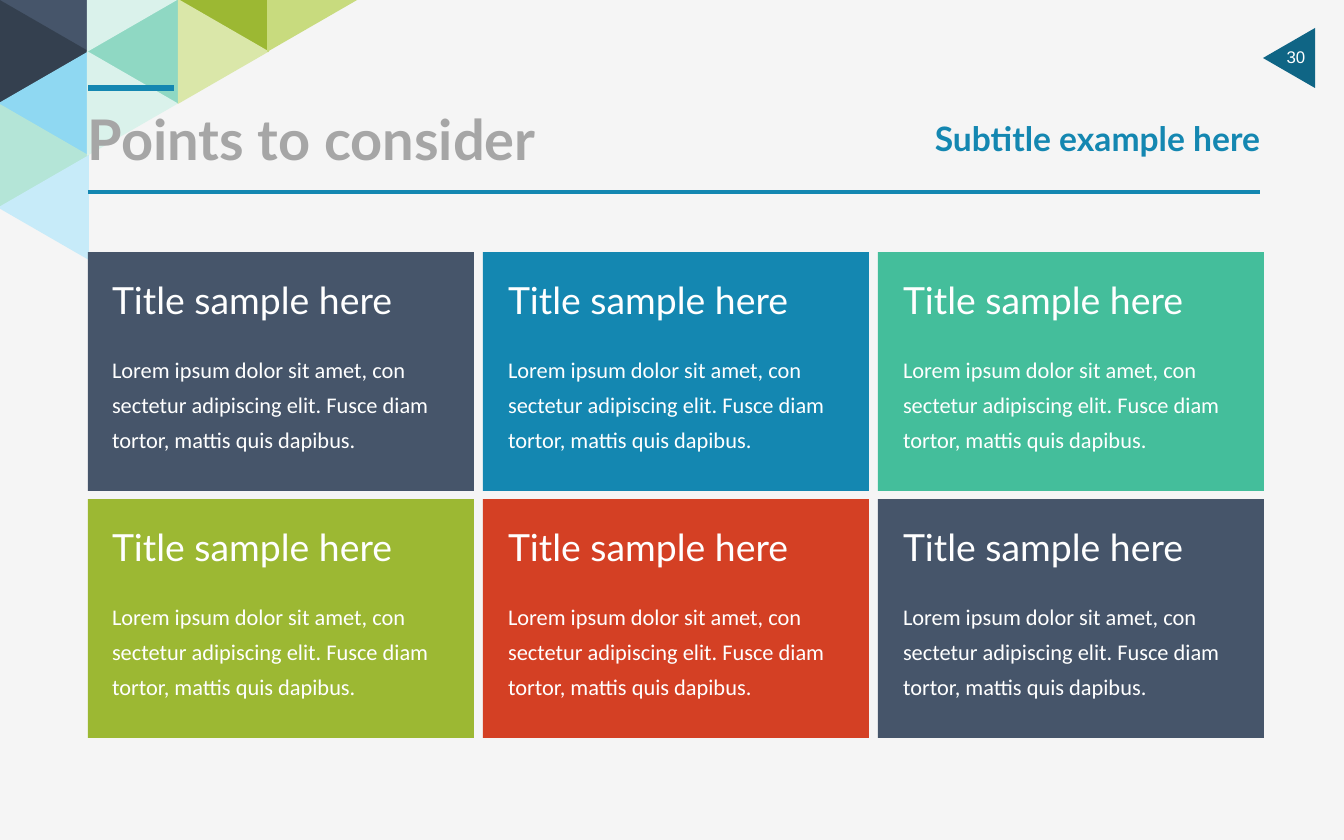
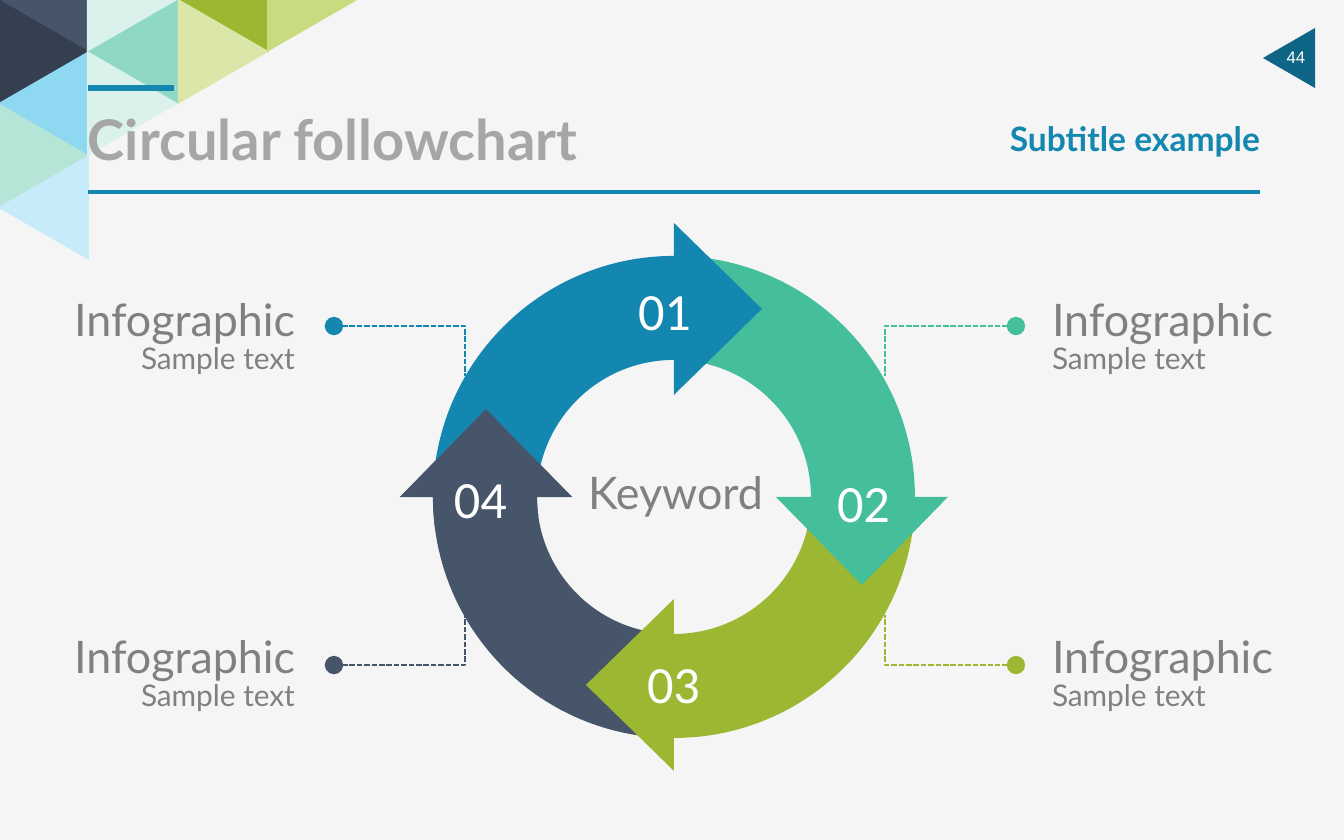
from dataclasses import dataclass
from math import cos, radians, sin, tan

from lxml.etree import SubElement
from pptx import Presentation
from pptx.dml.color import RGBColor
from pptx.enum.dml import MSO_LINE
from pptx.enum.shapes import MSO_CONNECTOR, MSO_SHAPE
from pptx.enum.text import MSO_ANCHOR, PP_ALIGN
from pptx.oxml.ns import qn
from pptx.util import Pt

SCALE = 914400 / 134.4


@dataclass(frozen=True)
class Theme:
    paper: str = "F5F5F5"
    white: str = "FFFFFF"
    slate: str = "46556A"
    blue: str = "1487B1"
    green: str = "44BE9B"
    lime: str = "9CB833"
    red: str = "D44024"
    deep: str = "0F6585"
    pale: str = "A6A6A6"
    gray: str = "808080"
    head: str = "Lato"
    body: str = "Calibri"
    page: str = "Arial"


T = Theme()

# Type styles: size, font, colour, bold, line spacing
STYLES = {
    "title": (30, T.head, T.pale, True, 1.0),
    "sub": (18, T.head, T.blue, True, 1.0),
    "page": (9, T.page, T.white, False, 1.0),
    "card": (20, T.head, T.white, False, 0.83),
    "lorem": (12, T.body, T.white, False, 1.3),
    "step": (28, T.body, T.white, False, 1.0),
    "label": (24, T.head, T.gray, False, 0.85),
    "note": (16, T.head, T.gray, False, 0.85),
}

# Content
POINTS = {"title": "Points to consider", "sub": "Subtitle example here", "page": "30"}
CYCLE = {"title": "Circular followchart", "sub": "Subtitle example", "page": "44"}
CARD = "Title sample here"
LOREM = ("Lorem ipsum dolor sit amet, con sectetur adipiscing elit. "
         "Fusce diam tortor, mattis quis dapibus.")
CARDS = [T.slate, T.blue, T.green, T.lime, T.red, T.slate]
# Left edges of the card text, by column
INDENTS = (112, 508, 903)
KEYWORD = "Keyword"
LABEL = [("Infographic", "label"), ("Sample text", "note")]
# Each step: number, colour, angle of its arrowhead, corner of its number
STEPS = [
    ("01", T.blue, -90, (625, 271)),
    ("02", T.green, 0, (824, 463)),
    ("03", T.lime, 90, (634, 644)),
    ("04", T.slate, 180, (441, 459)),
]
# Each callout: colour, on the right, on the lower half
CALLS = [
    (T.slate, False, True),
    (T.blue, False, False),
    (T.lime, True, True),
    (T.green, True, False),
]

# Corner mosaic: left edge of a column and its triangles as (row, colour)
MOSAIC = [
    (-9, [(0, T.slate), (1, "34404F"), (2, "8FD8F2"), (3, "B4E5D7"), (4, "C7EBF9")]),
    (80, [(1, "8FD8C3"), (0, "DAF2EB"), (2, "DAF2EB")]),
    (171, [(0, T.lime), (1, "DAE7A9")]),
    (260, [(0, "C8DB7E")]),
]

# Ring geometry
MID = (674, 497)
OUTER, MEAN, INNER = 241, 188, 137
WING, TIP = 86, 88


def px(n):
    return round(n * SCALE)


def rgb(code):
    return RGBColor.from_string(code)


def assign(item, values):
    for name, value in values.items():
        setattr(item, name, value)


def paint(shape, color):
    shape.shadow.inherit = False
    shape.fill.solid()
    shape.fill.fore_color.rgb = rgb(color)
    shape.line.fill.background()


def block(slide, kind, box, color, turn=0):
    shape = slide.shapes.add_shape(kind, *map(px, box))
    shape.rotation = turn
    paint(shape, color)


def write(slide, box, lines, align=PP_ALIGN.LEFT, anchor=MSO_ANCHOR.TOP,
          pad=(0, 0), wrap=True):
    """Add a text box; lines are (text, style) pairs, pad is (side, top) in px."""
    frame = slide.shapes.add_textbox(*map(px, box)).text_frame
    side, top = map(px, pad)
    assign(frame, {
        "word_wrap": wrap, "vertical_anchor": anchor,
        "margin_left": side, "margin_right": side,
        "margin_top": top, "margin_bottom": top,
    })
    for i, (text, style) in enumerate(lines):
        size, font, color, bold, space = STYLES[style]
        para = frame.add_paragraph() if i else frame.paragraphs[0]
        assign(para, {"alignment": align, "line_spacing": space})
        run = para.add_run()
        run.text = text
        assign(run.font, {"size": Pt(size), "name": font, "bold": bold})
        run.font.color.rgb = rgb(color)


def rule(slide, start, end, width):
    line = slide.shapes.add_connector(
        MSO_CONNECTOR.STRAIGHT, *map(px, start + end))
    line.line.color.rgb = rgb(T.blue)
    line.line.width = Pt(width)
    SubElement(line.element.spPr, qn("a:effectLst"))


def outline(slide, points, close):
    spots = [(px(x), px(y)) for x, y in points]
    pen = slide.shapes.build_freeform(*spots[0], scale=1.0)
    pen.add_line_segments(spots[1:], close=close)
    return pen.convert_to_shape()


def bend(shape, firsts):
    """Turn the three line segments from each index into one cubic curve."""
    lines = list(shape.element.iter(qn("a:lnTo")))
    for first in firsts:
        curve, *rest = lines[first:first + 3]
        cubic = curve.makeelement(qn("a:cubicBezTo"))
        curve.addprevious(cubic)
        for line in (curve, *rest):
            cubic.append(line[0])
            line.getparent().remove(line)


def arc(radius, start, end):
    """Give the four control points of a circular arc."""
    pull = radius * tan(radians(end - start) / 4) * 4 / 3
    ends = []
    for angle, sign in ((start, 1), (end, -1)):
        c, s = cos(radians(angle)), sin(radians(angle))
        x, y = MID[0] + radius * c, MID[1] + radius * s
        ends.append([(x, y), (x - sign * pull * s, y + sign * pull * c)])
    return ends[0] + ends[1][::-1]


def arrow(slide, color, end, sweep=90):
    """Draw a clockwise ring arrow whose head starts at the angle end."""
    c, s = cos(radians(end)), sin(radians(end))
    head = [(MID[0] + r * c - t * s, MID[1] + r * s + t * c)
            for r, t in ((MEAN + WING, 0), (MEAN, TIP), (MEAN - WING, 0))]
    start = end - sweep
    shape = outline(
        slide, arc(OUTER, start, end) + head + arc(INNER, end, start), True)
    bend(shape, (0, 7))
    paint(shape, color)


def callout(slide, color, right, low):
    xs = (1016, 885) if right else (334, 465)
    far, near = (665, 615) if low else (326, 376)
    shape = outline(slide, [(xs[0], far), (xs[1], far), (xs[1], near)], False)
    shape.shadow.inherit = False
    shape.fill.background()
    shape.line.color.rgb = rgb(color)
    assign(shape.line, {"width": Pt(1), "dash_style": MSO_LINE.SQUARE_DOT})
    SubElement(shape.element.spPr.find(qn("a:ln")), qn("a:headEnd"),
               type="oval", w="lg", len="lg")


def furnish(slide):
    """Draw the shared parts on an empty slide and move them to its layout."""
    block(slide, MSO_SHAPE.ISOSCELES_TRIANGLE, (1259, 32, 60, 52), T.deep, 270)
    for col, (left, tiles) in enumerate(MOSAIC):
        for row, color in tiles:
            block(slide, MSO_SHAPE.ISOSCELES_TRIANGLE,
                  (left, 52 * row - 46, 105, 91), color,
                  90 if (col + row) % 2 else 270)
    rule(slide, (88, 192), (1260, 192), 2)
    rule(slide, (174, 88), (88, 88), 3)
    tree = slide.slide_layout.shapes.element
    for spare in list(slide.slide_layout.placeholders):
        tree.remove(spare.element)
    for shape in list(slide.shapes):
        tree.append(shape.element)


def begin(deck, text):
    slide = deck.slides.add_slide(deck.slide_layouts[6])
    if len(deck.slides) == 1:
        furnish(slide)
    write(slide, (1285, 39, 22, 36), [(text["page"], "page")],
          PP_ALIGN.CENTER, MSO_ANCHOR.MIDDLE, wrap=False)
    for key, left, width, align in (("title", 88, 547, PP_ALIGN.LEFT),
                                    ("sub", 627, 633, PP_ALIGN.RIGHT)):
        write(slide, (left, 112, width, 52), [(text[key], key)],
              align, MSO_ANCHOR.MIDDLE, (0, 5))
    return slide


def points(deck):
    slide = begin(deck, POINTS)
    for i, color in enumerate(CARDS):
        row, col = divmod(i, 3)
        x, y = 88 + 395 * col, 252 + 247 * row
        block(slide, MSO_SHAPE.RECTANGLE, (x, y, 386, 239), color)
        left = INDENTS[col]
        write(slide, (left, y + 89, 335, 118), [(LOREM, "lorem")], pad=(0, 7))
        write(slide, (left, y + 33, 335, 30), [(CARD, "card")])


def cycle(deck):
    slide = begin(deck, CYCLE)
    for call in CALLS:
        callout(slide, *call)
    for _, color, end, _ in reversed(STEPS):
        arrow(slide, color, end)
    # The last head lies over the first arrow and closes the loop
    _, color, end, _ = STEPS[-1]
    arrow(slide, color, end, 8)
    for number, _, _, spot in STEPS:
        write(slide, (*spot, 95, 77), [(number, "step")], pad=(13, 7))
    for _, right, low in CALLS:
        write(slide, (1039 if right else 7, 630 if low else 293, 301, 91), LABEL,
              PP_ALIGN.LEFT if right else PP_ALIGN.RIGHT, pad=(13, 7))
    write(slide, (559, 473, 233, 47), [(KEYWORD, "label")], PP_ALIGN.CENTER)


def main():
    deck = Presentation()
    assign(deck, {"slide_width": px(1344), "slide_height": px(840)})
    back = deck.slide_master.background.fill
    back.solid()
    back.fore_color.rgb = rgb(T.paper)
    points(deck)
    cycle(deck)
    deck.save("out.pptx")


if __name__ == "__main__":
    main()
